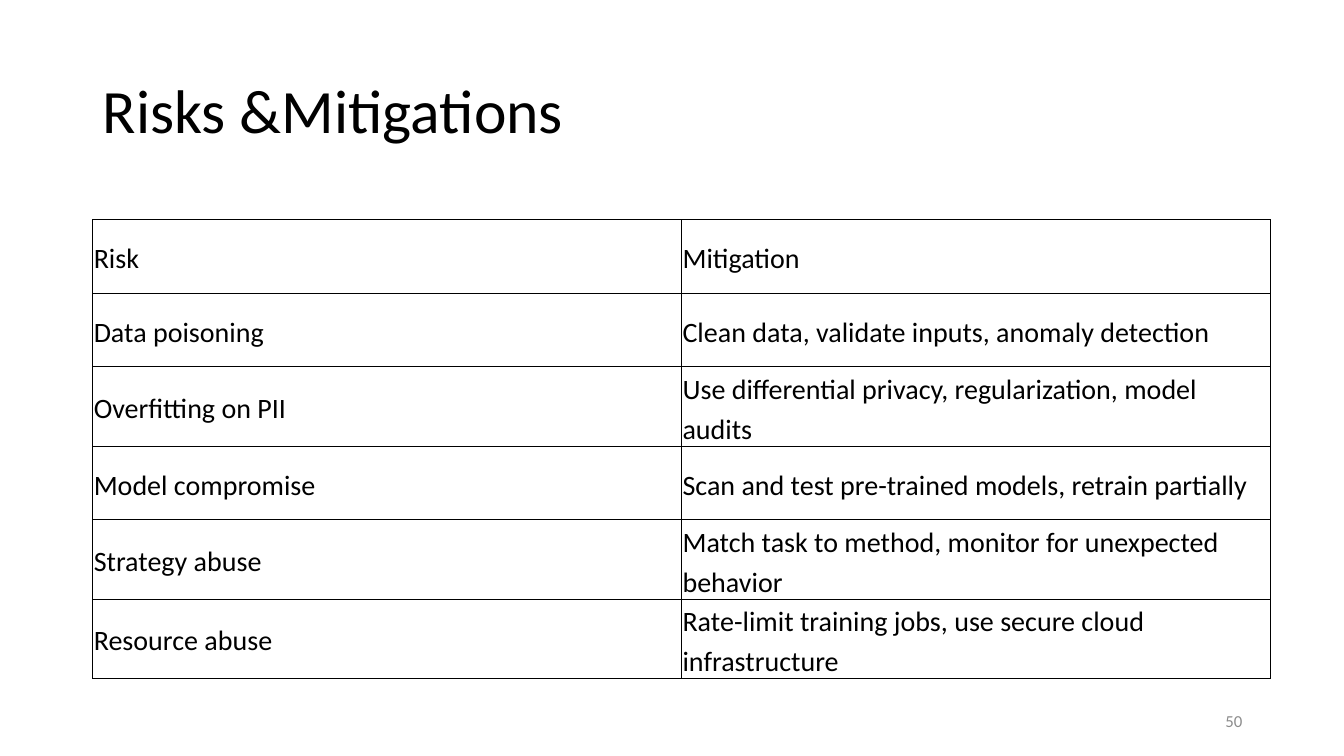
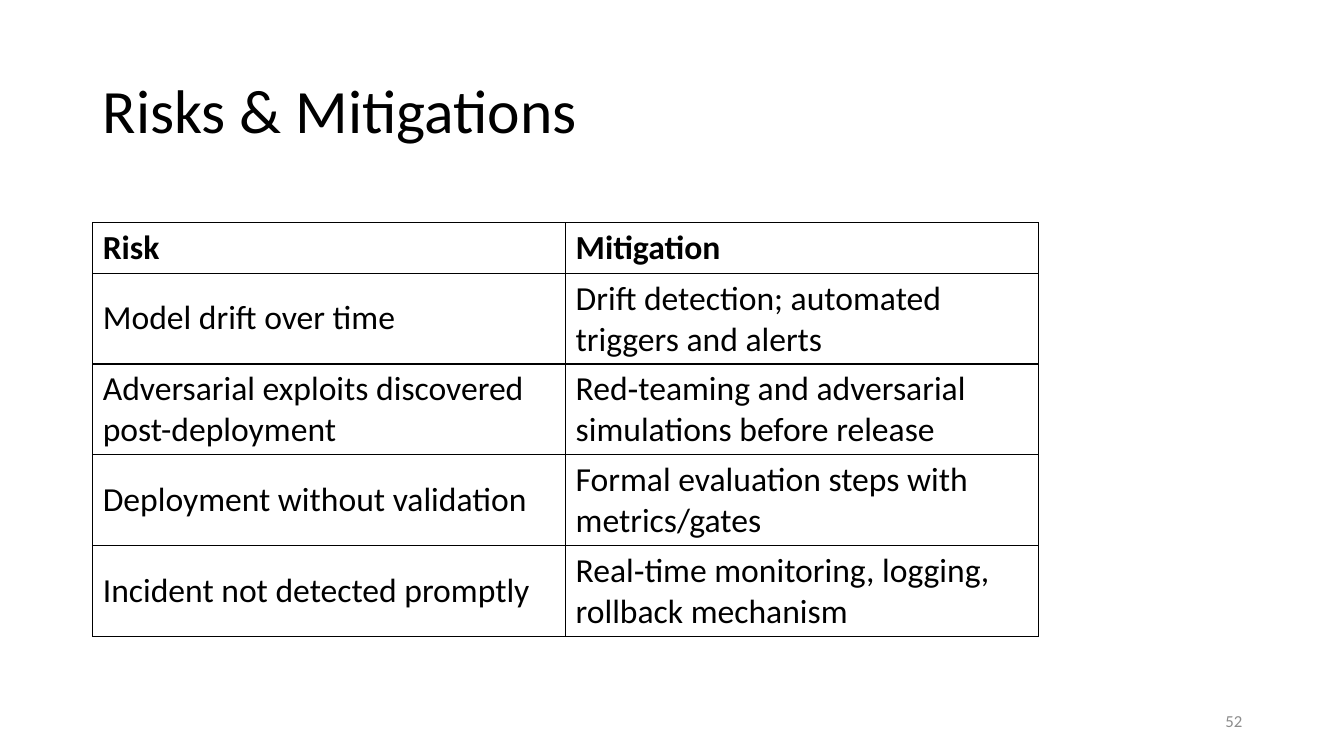
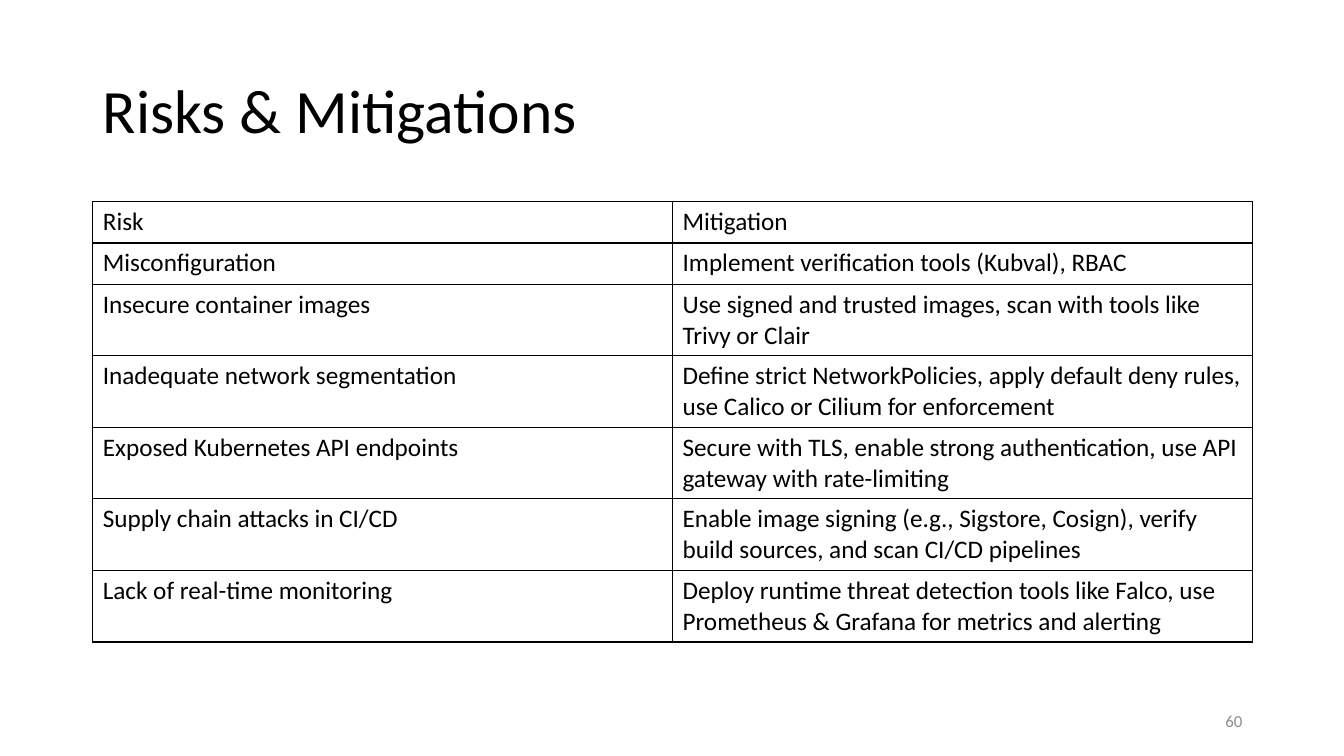
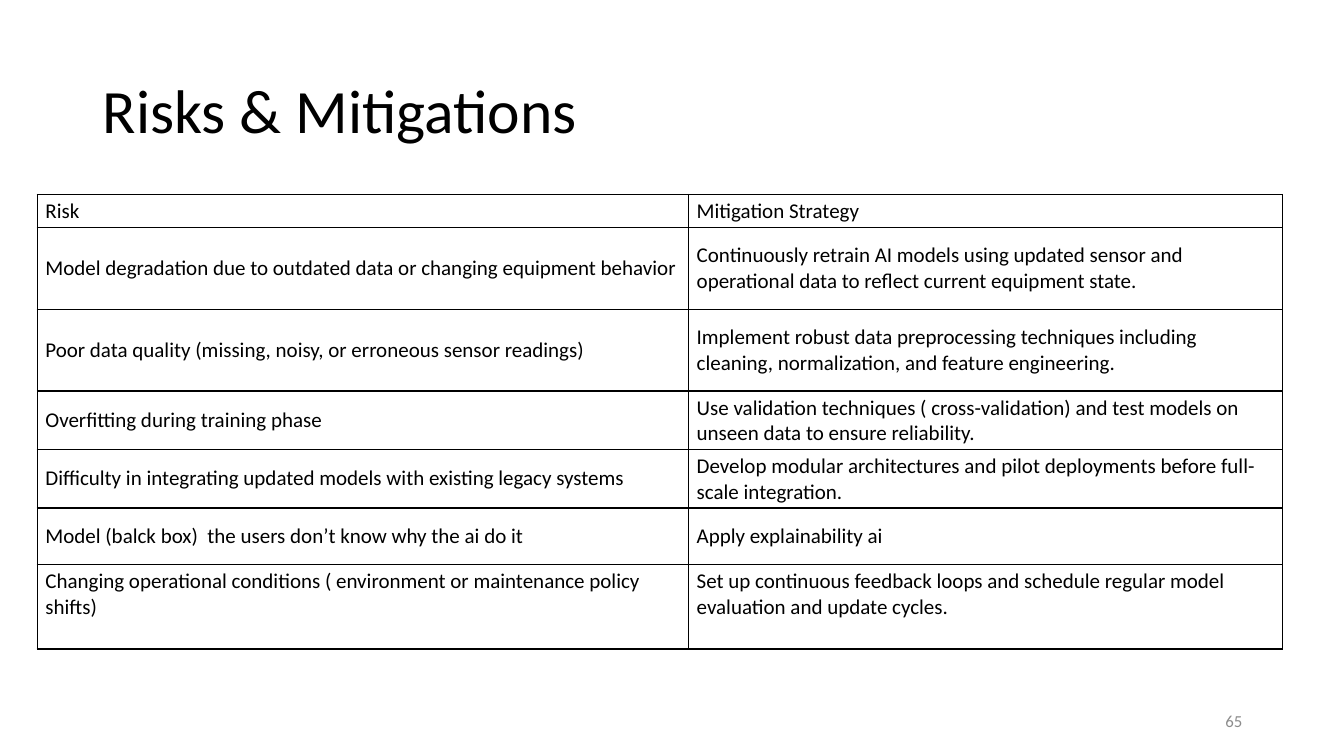
from lxml import etree
from pptx import Presentation, util as u
from pptx.dml.color import RGBColor
from pptx.enum import text
from pptx.oxml.ns import qn

MIDDLE, TOP = text.MSO_ANCHOR.MIDDLE, text.MSO_ANCHOR.TOP
LEFT, RIGHT = text.PP_ALIGN.LEFT, text.PP_ALIGN.RIGHT

# Content: row heights, column widths and places are in inches
SLIDES = [
    dict(title="Risks &Mitigations", page=50, at=(0.92, 2.18), cols=(5.84, 5.84),
         heights=[0.73] * 6, size=20, inset=(0.01, 0.01),
         para=dict(line_spacing=1.15, space_after=u.Pt(8)),
         rows=[
             ("Risk", "Mitigation"),
             ("Data poisoning", "Clean data, validate inputs, anomaly detection"),
             ("Overfitting on PII", "Use differential privacy, regularization, model audits"),
             ("Model compromise", "Scan and test pre-trained models, retrain partially"),
             ("Strategy abuse", "Match task to method, monitor for unexpected behavior"),
             ("Resource abuse", "Rate-limit training jobs, use secure cloud infrastructure"),
         ]),
    dict(title="Risks & Mitigations", page=52, at=(0.92, 2.21), cols=(4.69, 4.69),
         heights=[0.5] + [0.9] * 4, size=24, bold_header=True,
         rows=[
             ("Risk", "Mitigation"),
             ("Model drift over time", "Drift detection; automated triggers and alerts"),
             ("Adversarial exploits discovered post-deployment",
              "Red‑teaming and adversarial simulations before release"),
             ("Deployment without validation", "Formal evaluation steps with metrics/gates"),
             ("Incident not detected promptly",
              "Real‑time monitoring, logging, rollback mechanism"),
         ]),
    dict(title="Risks & Mitigations", page=60, at=(0.92, 2), cols=(5.75, 5.75),
         heights=[0.41] * 2 + [0.71] * 5, size=18, anchor=TOP,
         rows=[
             ("Risk", "Mitigation"),
             ("Misconfiguration", "Implement verification tools (Kubval), RBAC"),
             ("Insecure container images",
              "Use signed and trusted images, scan with tools like Trivy or Clair"),
             ("Inadequate network segmentation",
              "Define strict NetworkPolicies, apply default deny rules, "
              "use Calico or Cilium for enforcement"),
             ("Exposed Kubernetes API endpoints",
              "Secure with TLS, enable strong authentication, "
              "use API gateway with rate-limiting"),
             ("Supply chain attacks in CI/CD",
              "Enable image signing (e.g., Sigstore, Cosign), "
              "verify build sources, and scan CI/CD pipelines"),
             ("Lack of real-time monitoring",
              "Deploy runtime threat detection tools like Falco, "
              "use Prometheus & Grafana for metrics and alerting"),
         ]),
    dict(title="Risks & Mitigations", page=65, at=(0.37, 1.93), cols=(6.46, 5.89),
         heights=[0.32] + [0.81] * 2 + [0.56] * 3 + [0.84], size=15,
         inset=(0.08, 0.04), last_anchor=TOP,
         rows=[
             ("Risk", "Mitigation Strategy"),
             ("Model degradation due to outdated data or changing equipment behavior",
              "Continuously retrain AI models using updated sensor and "
              "operational data to reflect current equipment state."),
             ("Poor data quality (missing, noisy, or erroneous sensor readings)",
              "Implement robust data preprocessing techniques including "
              "cleaning, normalization, and feature engineering."),
             ("Overfitting during training phase",
              "Use validation techniques ( cross-validation) and test models on "
              "unseen data to ensure reliability."),
             ("Difficulty in integrating updated models with existing legacy systems",
              "Develop modular architectures and pilot deployments "
              "before full-scale integration."),
             ("Model (balck box)  the users don’t know why the ai do it",
              "Apply explainability ai"),
             ("Changing operational conditions ( environment or maintenance policy shifts)",
              "Set up continuous feedback loops and schedule regular model "
              "evaluation and update cycles."),
         ]),
]


class Theme:
    font = "Calibri"
    ink, muted = "000000", "8C8C8C"
    title_size, page_size = 44, 12
    border = 1
    slide = (13.33, 7.5)
    title_box = (0.92, 0.4, 11.5, 1.45)
    page_box = (9.42, 6.95, 3, 0.4)
    inset = (0.1, 0.05)


def write(tf, words, size, color=Theme.ink, bold=False, **para):
    p = tf.paragraphs[0]
    for name, value in para.items():
        setattr(p, name, value)
    r = p.add_run()
    r.text = words
    for name, value in dict(name=Theme.font, size=u.Pt(size), bold=bold).items():
        setattr(r.font, name, value)
    r.font.color.rgb = RGBColor.from_string(color)


def add_text(s, box, words, size, **style):
    tf = s.shapes.add_textbox(*map(u.Inches, box)).text_frame
    tf.word_wrap = True
    tf.vertical_anchor = MIDDLE
    write(tf, words, size, **style)


def add_borders(cell):
    tc_pr = cell._tc.get_or_add_tcPr()
    for i, side in enumerate(("lnL", "lnR", "lnT", "lnB")):
        ln = etree.Element(qn(f"a:{side}"), w=str(u.Pt(Theme.border)))
        fill = etree.SubElement(ln, qn("a:solidFill"))
        etree.SubElement(fill, qn("a:srgbClr"), val=Theme.ink)
        tc_pr.insert(i, ln)


def add_risk_table(s, d):
    rows, cols, heights = d["rows"], d["cols"], d["heights"]
    frame = s.shapes.add_table(len(rows), len(cols), *map(
        u.Inches, (*d["at"], sum(cols), sum(heights))))
    table = frame.table
    table.first_row = table.horz_banding = False
    for column, width in zip(table.columns, cols):
        column.width = u.Inches(width)

    side, edge = map(u.Inches, d.get("inset", Theme.inset))
    layout = dict(margin_left=side, margin_right=side, margin_top=edge, margin_bottom=edge)
    anchors = [d.get("anchor", MIDDLE)] * len(rows)
    anchors[-1] = d.get("last_anchor", anchors[-1])

    for i, words in enumerate(rows):
        table.rows[i].height = u.Inches(heights[i])
        bold = i == 0 and d.get("bold_header", False)
        for j, label in enumerate(words):
            cell = table.cell(i, j)
            for name, value in dict(layout, vertical_anchor=anchors[i]).items():
                setattr(cell, name, value)
            cell.fill.background()
            add_borders(cell)
            write(cell.text_frame, label, d["size"], bold=bold, **d.get("para", {}))


def main():
    prs = Presentation()
    prs.slide_width, prs.slide_height = map(u.Inches, Theme.slide)
    for d in SLIDES:
        s = prs.slides.add_slide(prs.slide_layouts[6])
        add_text(s, Theme.title_box, d["title"], Theme.title_size,
                 alignment=LEFT, line_spacing=0.9)
        add_risk_table(s, d)
        add_text(s, Theme.page_box, str(d["page"]), Theme.page_size,
                 color=Theme.muted, alignment=RIGHT)
    prs.save("out.pptx")


if __name__ == "__main__":
    main()
